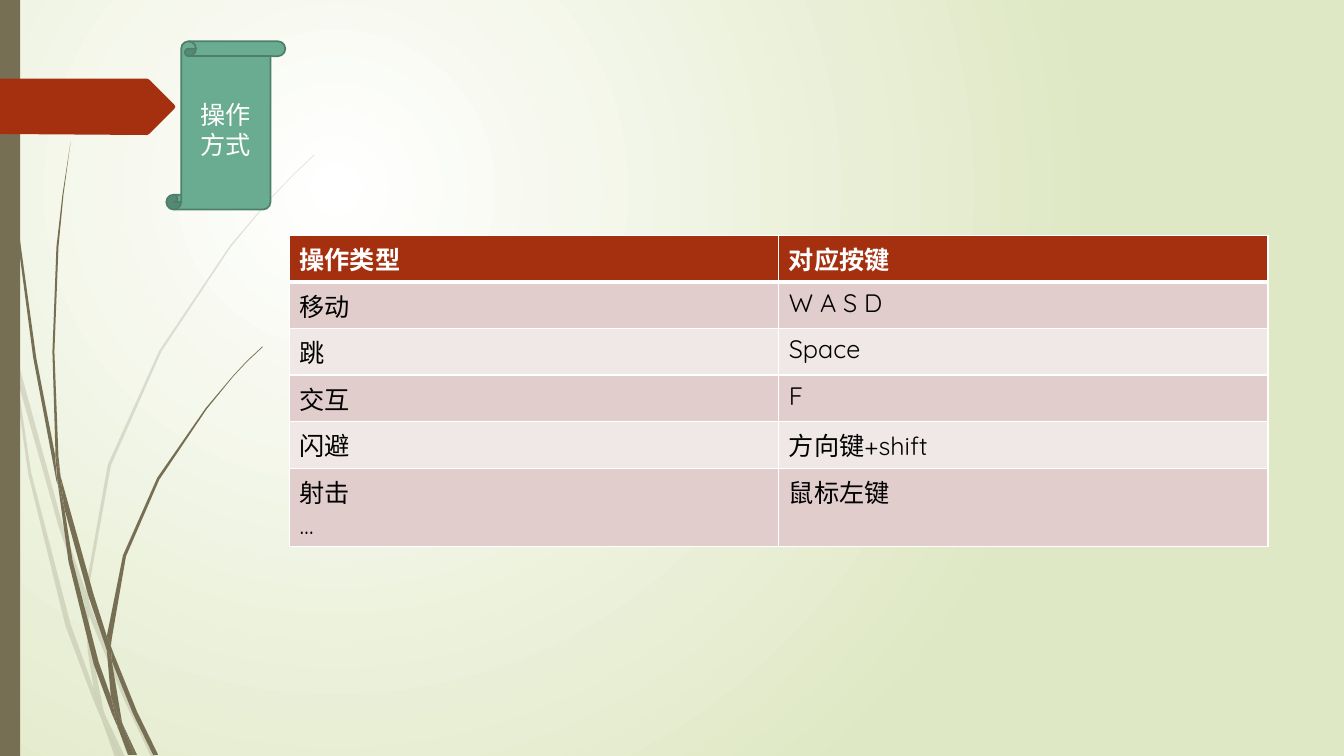
from dataclasses import dataclass

from lxml import etree
from pptx import Presentation
from pptx.dml.color import RGBColor
from pptx.enum.shapes import MSO_SHAPE
from pptx.enum.text import MSO_ANCHOR, PP_ALIGN
from pptx.oxml.ns import qn
from pptx.util import Pt

RECTANGLE = MSO_SHAPE.RECTANGLE
SCROLL = MSO_SHAPE.VERTICAL_SCROLL
MIDDLE = MSO_ANCHOR.MIDDLE
CENTER = PP_ALIGN.CENTER

WHITE = RGBColor(0xFF, 0xFF, 0xFF)
BLACK = RGBColor(0x00, 0x00, 0x00)
PALE_GREEN = RGBColor(0xDF, 0xE8, 0xC4)
OLIVE = RGBColor(0x76, 0x6F, 0x54)
RUST = RGBColor(0xA5, 0x30, 0x10)
JADE = RGBColor(0x6A, 0xAC, 0x91)
DARK_JADE = RGBColor(0x4E, 0x7F, 0x6B)
BAND_COLORS = (RGBColor(0xE1, 0xCD, 0xCC), RGBColor(0xF0, 0xE8, 0xE7))

FONT = "Quicksand"
TEXT_SIZE = Pt(18)
OUTLINE_UNIT = Pt(0.72)  # outline points lie on a grid of this step

Outline = list[tuple[int, int]]


@dataclass
class GrassTuft:
    opacity: int  # percent
    blades: list[Outline]


@dataclass
class Control:
    action: str
    keys: str


FAINT_TUFT = GrassTuft(20, [
    [(11, 350), (9, 322), (0, 282), (0, 299), (10, 344)],
    [(58, 522), (84, 599), (85, 586), (62, 520), (14, 345), (17, 376)],
    [(92, 607), (88, 596), (88, 610), (123, 694), (150, 751), (155, 751), (127, 692)],
    [(119, 751), (124, 751), (105, 711)],
    [(93, 683), (70, 619), (31, 469), (17, 376), (11, 350), (28, 470), (65, 621),
     (92, 693), (101, 714), (99, 707)],
    [(84, 599), (87, 646), (93, 683), (96, 692), (105, 711), (103, 706), (91, 646),
     (88, 610), (88, 608)],
    [(88, 584), (110, 462), (160, 349), (229, 245), (268, 198), (290, 175), (312, 154),
     (312, 153), (289, 175), (268, 197), (228, 244), (158, 348), (107, 461), (85, 584),
     (85, 586), (88, 596)],
    [(101, 714), (114, 751), (119, 751)],
    [(88, 608), (88, 610), (88, 596), (85, 586), (84, 599)],
    [(96, 692), (93, 683), (99, 707), (101, 714), (119, 751), (105, 711)],
])

DARK_TUFT = GrassTuft(100, [
    [(7, 110), (17, 233), (33, 355), (56, 477), (57, 481), (55, 457), (55, 453),
     (36, 355), (19, 232), (8, 109), (5, 48), (4, 0), (3, 0), (4, 48)],
    [(88, 592), (106, 645), (106, 633), (106, 631), (93, 590), (60, 472), (64, 505)],
    [(113, 649), (110, 641), (111, 656), (132, 708), (152, 749), (157, 749), (136, 706)],
    [(110, 691), (98, 657), (72, 556), (64, 505), (57, 477), (68, 557), (93, 659),
     (111, 708), (117, 722), (116, 717)],
    [(60, 472), (58, 453), (54, 349), (58, 245), (63, 193), (70, 141), (62, 193),
     (56, 245), (52, 349), (55, 449)],
    [(133, 749), (136, 749), (122, 719)],
    [(57, 477), (64, 505), (60, 472), (55, 449), (55, 453)],
    [(111, 633), (125, 552), (158, 476), (205, 406), (231, 374), (245, 359), (261, 344),
     (260, 344), (245, 358), (231, 373), (204, 405), (156, 474), (122, 551), (106, 631),
     (110, 641)],
    [(117, 722), (127, 749), (131, 749)],
    [(106, 645), (110, 691), (116, 706), (122, 719), (121, 716), (111, 656), (109, 651)],
    [(106, 645), (109, 651), (111, 656), (110, 641), (106, 631), (106, 633)],
    [(116, 706), (110, 691), (116, 717), (117, 722), (130, 749), (133, 749), (122, 719)],
])

RIBBON: Outline = [(0, 78), (146, 78), (148, 79), (173, 104), (174, 106), (173, 108),
                   (148, 133), (146, 134), (0, 133)]

CONTROLS = [
    Control("操作类型", "对应按键"),
    Control("移动", "W A S D"),
    Control("跳", "Space"),
    Control("交互", "F"),
    Control("闪避", "方向键+shift"),
    Control("射击\n…", "鼠标左键"),
]


def paint(shape, color: RGBColor) -> None:
    shape.shadow.inherit = False
    shape.fill.solid()
    shape.fill.fore_color.rgb = color
    shape.line.fill.background()


def draw_outline(shapes, outline: Outline, color: RGBColor, opacity: int = 100) -> None:
    builder = shapes.build_freeform(*outline[0], scale=OUTLINE_UNIT)
    builder.add_line_segments(outline[1:], close=True)
    shape = builder.convert_to_shape()
    paint(shape, color)
    if opacity < 100:
        rgb = shape.element.spPr.find(qn("a:solidFill")).find(qn("a:srgbClr"))
        etree.SubElement(rgb, qn("a:alpha"), val=str(opacity * 1000))


def draw_tuft(slide, tuft: GrassTuft) -> None:
    group = slide.shapes.add_group_shape()
    for blade in tuft.blades:
        draw_outline(group.shapes, blade, OLIVE, tuft.opacity)


def set_background(slide) -> None:
    fill = slide.background.fill
    fill.gradient()
    for stop, color, position in zip(fill.gradient_stops, (WHITE, PALE_GREEN), (0, 1)):
        stop.color.rgb = color
        stop.position = position
    gradient = next(slide.element.iter(qn("a:gradFill")))
    linear = gradient.find(qn("a:lin"))
    circle = etree.Element(qn("a:path"), path="circle")
    etree.SubElement(circle, qn("a:fillToRect"), l="50000", t="50000", r="100000", b="100000")
    gradient.replace(linear, circle)


def add_border(cell, side: str, width: int) -> None:
    border = etree.SubElement(cell._tc.get_or_add_tcPr(), qn(f"a:ln{side}"), w=str(Pt(width)))
    solid = etree.SubElement(border, qn("a:solidFill"))
    etree.SubElement(solid, qn("a:srgbClr"), val=str(WHITE))


def fill_cell(cell, text: str, row: int) -> None:
    is_header = row == 0
    cell.text = text
    for paragraph in cell.text_frame.paragraphs:
        paragraph.font.name = FONT
        paragraph.font.size = TEXT_SIZE
        paragraph.font.bold = is_header
        paragraph.font.color.rgb = WHITE if is_header else BLACK
    for side in "LRTB":
        under_header = (row, side) in ((0, "B"), (1, "T"))
        add_border(cell, side, 3 if under_header else 1)
    cell.fill.solid()
    cell.fill.fore_color.rgb = RUST if is_header else BAND_COLORS[(row - 1) % 2]


def draw_controls(slide) -> None:
    row_height = Pt(28.8)
    frame = slide.shapes.add_table(len(CONTROLS), 2, Pt(206.8), Pt(168), Pt(699),
                                   row_height * len(CONTROLS))
    table = frame.table
    for row, control in enumerate(CONTROLS):
        for column, text in enumerate((control.action, control.keys)):
            fill_cell(table.cell(row, column), text, row)


def draw_title_scroll(slide) -> None:
    scroll = slide.shapes.add_shape(SCROLL, Pt(118.8), Pt(29.5), Pt(85), Pt(120.2))
    paint(scroll, JADE)
    scroll.line.color.rgb = DARK_JADE
    scroll.line.width = Pt(1.25)
    scroll.text_frame.word_wrap = True
    scroll.text_frame.vertical_anchor = MIDDLE
    title = scroll.text_frame.paragraphs[0]
    title.text = "操作方式"
    title.alignment = CENTER
    title.font.name = FONT
    title.font.size = TEXT_SIZE
    title.font.color.rgb = WHITE


def main() -> None:
    deck = Presentation()
    deck.slide_width, deck.slide_height = Pt(960), Pt(540)
    slide = deck.slides.add_slide(deck.slide_layouts[6])

    # Backdrop: gradient, grass, side bar and ribbon
    set_background(slide)
    for tuft in (FAINT_TUFT, DARK_TUFT):
        draw_tuft(slide, tuft)
    side_bar = slide.shapes.add_shape(RECTANGLE, 0, 0, Pt(14.4), Pt(540))
    paint(side_bar, OLIVE)
    draw_outline(slide.shapes, RIBBON, RUST)

    # Content: title scroll and key table
    draw_title_scroll(slide)
    draw_controls(slide)

    deck.save("out.pptx")


if __name__ == "__main__":
    main()
